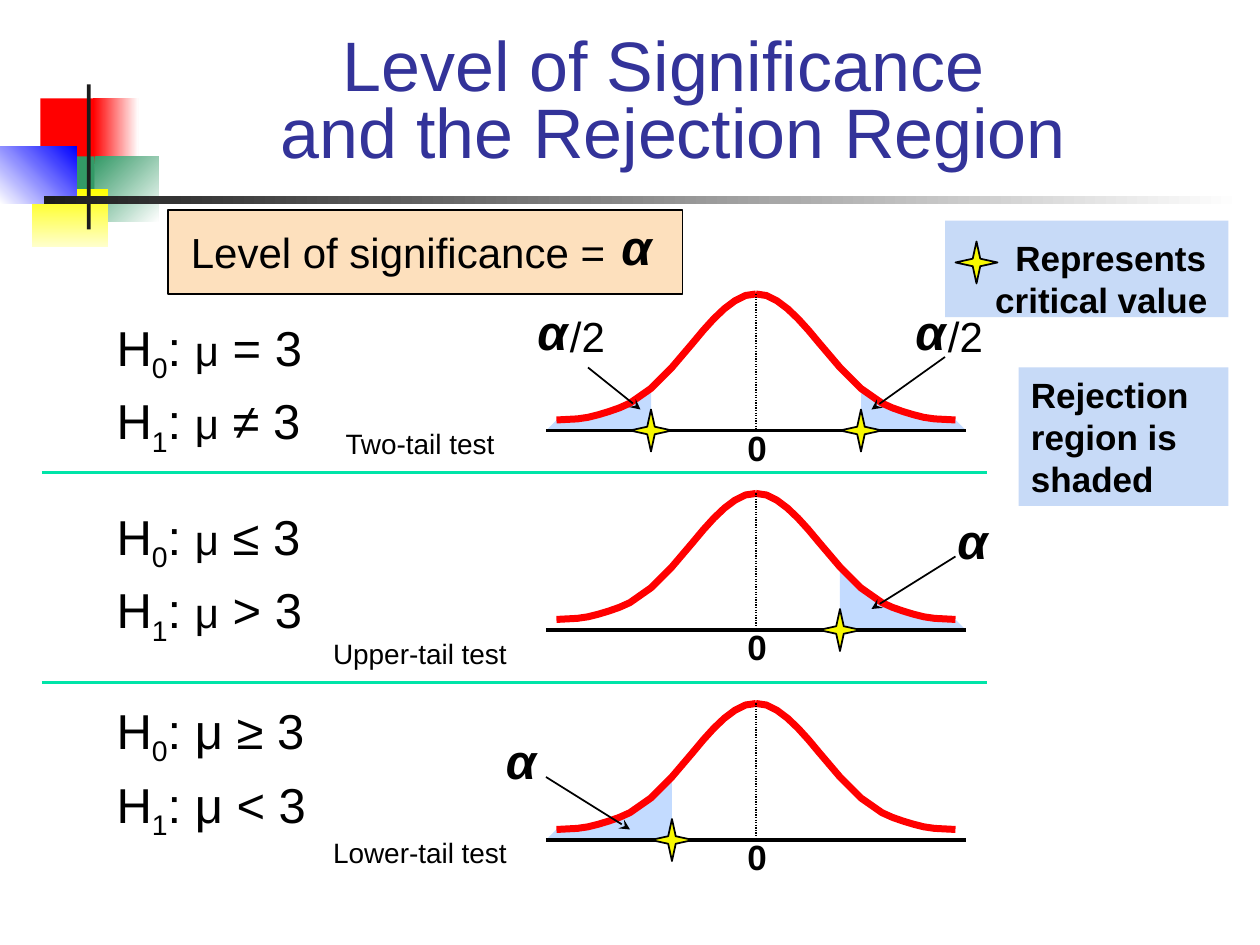
"""Slide on the level of significance, laid out on a grid of 120 columns by 90 rows."""
from dataclasses import dataclass
from math import cos, pi, sin

from lxml.etree import SubElement
from pptx import Presentation
from pptx.dml.color import RGBColor
from pptx.enum.dml import MSO_LINE
from pptx.enum.shapes import MSO_CONNECTOR, MSO_SHAPE
from pptx.enum.text import MSO_ANCHOR, PP_ALIGN
from pptx.oxml.ns import qn
from pptx.util import Inches, Pt

CELL = 1 / 12
CENTRE = 72
REACH = 20
PEAK = 13
CURVE = [(19, 1), (17, 1.1), (16, 1.25), (15, 1.5), (14, 1.8), (13, 2.15), (12, 2.6), (10, 4),
         (8, 6), (6, 8.35), (5, 9.55), (4, 10.65), (3, 11.6), (2, 12.35), (1, 12.85), (0, PEAK)]
TAIL = [(REACH, 0), (19, 1), (14.9, 1.6), (12.9, 2.35), (10.5, 3.8)]
BLACK, WHITE, DARK = "000000", "FFFFFF", "1C1C1C"
PANEL, SHADE, YELLOW, RED, GREEN = "C7DAF7", "C3DBFF", "F8F800", "FF0000", "00E4A8"


@dataclass
class Block:
    """A decorative rectangle with one fill colour or a two-colour gradient."""
    column: float
    row: float
    columns: float
    rows: float
    start: str
    end: str = ""
    angle: int = 0


@dataclass
class Alpha:
    """A tail area label with the arrow from it to the tail."""
    column: float
    row: float
    arrow: tuple
    halved: bool = False


@dataclass
class Test:
    """One hypothesis test with its critical values, counted in columns from the mean."""
    name: str
    name_row: float
    axis: float
    signs: tuple
    hypothesis_row: float
    mu_size: int
    critical: tuple
    alphas: list


BLOCKS = [
    Block(3.84, 9.36, 5.76, 6.24, "FF0000"),
    Block(8.88, 9.36, 4.32, 6.24, "FF0000", WHITE),
    Block(9, 14.88, 6.12, 6.24, "339966", WHITE, 45),
    Block(5.16, 14.88, 3.84, 6.24, "339966"),
    Block(3, 18, 7.32, 5.52, "FFFF00", "FFFFCC", 90),
    Block(0, 13.92, 7.32, 5.52, WHITE, "0000FF", 315),
    Block(8.28, 8.04, 0.36, 13.8, DARK),
    Block(4.2, 18.72, 114.12, 0.72, DARK, WHITE),
]

TESTS = [
    Test("Two-tail test", 40, 41, ("=", "≠"), 29, 24, (-10, 10),
         [Alpha(50, 28.1, (56, 35, 61, 39), True), Alpha(86, 28.1, (90, 34, 83, 39), True)]),
    Test("Upper-tail test", 60, 60, ("≤", ">"), 47, 24, (8,),
         [Alpha(90, 48, (91, 53, 83, 58))]),
    Test("Lower-tail test", 79, 80, ("≥", "<"), 65.5, 28, (-8,),
         [Alpha(47, 69, (52, 74, 60, 79))]),
]


def grid(cells: float) -> int:
    """Turn grid cells into a length."""
    return int(Inches(cells * CELL))


def colour(code: str) -> RGBColor:
    """Turn a hex string into a colour."""
    return RGBColor.from_string(code)


def paint(shape, fill: str = "", line: str = "", width: float = 1) -> None:
    """Set fill and outline, leaving out whichever has no colour."""
    shape.shadow.inherit = False
    if fill:
        shape.fill.solid()
        shape.fill.fore_color.rgb = colour(fill)
    else:
        shape.fill.background()
    if line:
        shape.line.color.rgb = colour(line)
        shape.line.width = Pt(width)
    else:
        shape.line.fill.background()


def add_rectangle(page, column: float, row: float, columns: float, rows: float, fill: str, line: str = ""):
    """Draw a filled rectangle."""
    box = page.shapes.add_shape(MSO_SHAPE.RECTANGLE, *map(grid, (column, row, columns, rows)))
    paint(box, fill, line, 0.75)
    return box


def add_block(page, block: Block) -> None:
    """Draw a decorative rectangle."""
    box = add_rectangle(page, block.column, block.row, block.columns, block.rows, block.start)
    if block.end:
        box.fill.gradient()
        box.fill.gradient_angle = -block.angle % 360
        for stop, code in zip(box.fill.gradient_stops, (block.start, block.end)):
            stop.color.rgb = colour(code)


def add_outline(page, points: list, fill: str = "", line: str = "", width: float = 1) -> None:
    """Draw a freeform, closed when it is filled."""
    corners = [(grid(column), grid(row)) for column, row in points]
    builder = page.shapes.build_freeform(*corners[0], scale=1.0)
    builder.add_line_segments(corners[1:], close=bool(fill))
    paint(builder.convert_to_shape(), fill, line, width)


def add_line(page, ends: tuple, code: str, width: float, arrow: bool = False, dotted: bool = False) -> None:
    """Draw a straight line between two grid points."""
    line = page.shapes.add_connector(MSO_CONNECTOR.STRAIGHT, *map(grid, ends))
    line.line.color.rgb = colour(code)
    line.line.width = Pt(width)
    if dotted:
        line.line.dash_style = MSO_LINE.ROUND_DOT
    if arrow:
        SubElement(line.line._get_or_add_ln(), qn("a:tailEnd"), type="stealth")
    SubElement(line._element.spPr, qn("a:effectLst"))


def style(span, size: float, code: str = BLACK, bold: bool = False, italic: bool = False) -> None:
    """Format one run."""
    span.font.name = "Arial"
    span.font.size = Pt(size)
    span.font.color.rgb = colour(code)
    span.font.bold = bold
    span.font.italic = italic


def write(box, text: str, size: float, align=PP_ALIGN.LEFT, anchor=MSO_ANCHOR.TOP, **look) -> None:
    """Fill a shape with evenly formatted text."""
    frame = box.text_frame
    frame.text = text
    frame.word_wrap = True
    frame.vertical_anchor = anchor
    for para in frame.paragraphs:
        para.alignment = align
        for span in para.runs:
            style(span, size, **look)


def add_text(page, column: float, row: float, columns: float, rows: float, text: str, size: float, **look):
    """Place a text box on the grid."""
    box = page.shapes.add_textbox(*map(grid, (column, row, columns, rows)))
    write(box, text, size, **look)
    return box


def add_alpha(page, column: float, row: float) -> None:
    """Place the symbol of the significance level."""
    add_text(page, column, row, 6, 6.7, "α", 28, bold=True, italic=True)


def add_star(page, column: float, row: float) -> None:
    """Mark a critical value with a four-pointed star."""
    radii = (2, 0.51)
    points = [(column + radii[i % 2] * cos(i * pi / 4), row + radii[i % 2] * sin(i * pi / 4)) for i in range(8)]
    add_outline(page, points, YELLOW, BLACK)


def add_hypotheses(page, test: Test) -> None:
    """Write the null and the alternative hypothesis."""
    box = add_text(page, 9.92, test.hypothesis_row, 28, 15.1, "H\nH", 28)
    for index, (para, sign) in enumerate(zip(box.text_frame.paragraphs, test.signs)):
        para.line_spacing = 1.1
        for text, size in ((str(index), 28), (": ", 28), ("μ", test.mu_size), (f" {sign} 3", 28)):
            span = para.add_run()
            span.text = text
            style(span, size)
        para.runs[1].font._element.set("baseline", "-25000")


def add_test(page, test: Test) -> None:
    """Draw one test: hypotheses, name, curve, shaded tails and labels."""
    add_hypotheses(page, test)
    add_text(page, 30, test.name_row, 20, 4.3, test.name, 16, align=PP_ALIGN.CENTER)
    for value in test.critical:
        side, cut = (1 if value > 0 else -1), abs(value)
        tail = [point for point in TAIL if point[0] > cut] + [(cut, dict(CURVE)[cut]), (cut, 0)]
        add_outline(page, [(CENTRE + side * x, test.axis - y) for x, y in tail], SHADE)
    for side in (-1, 1):
        add_outline(page, [(CENTRE + side * x, test.axis - y) for x, y in CURVE], line=RED, width=4)
    add_line(page, (CENTRE - REACH, test.axis, CENTRE + REACH, test.axis), BLACK, 2)
    add_line(page, (CENTRE, test.axis - PEAK, CENTRE, test.axis), BLACK, 0.75, dotted=True)
    add_text(page, CENTRE - 2, test.axis - 1, 4, 5.2, "0", 20, bold=True)
    for value in test.critical:
        add_star(page, CENTRE + value, test.axis)
    for alpha in test.alphas:
        add_alpha(page, alpha.column, alpha.row)
        if alpha.halved:
            add_text(page, alpha.column + 3.1, alpha.row + 0.9, 8, 6, "/2", 24)
        add_line(page, alpha.arrow, BLACK, 1, arrow=True)


def add_legend(page) -> None:
    """Explain the star and the shading."""
    box = add_rectangle(page, 90, 21, 27, 9.2, PANEL)
    write(box, "Represents\ncritical value", 20, bold=True)
    box.text_frame.margin_top = Inches(0.13)
    for para, indent in zip(box.text_frame.paragraphs, (0.46, 0.3)):
        para._p.get_or_add_pPr().set("indent", str(Inches(indent)))
    add_star(page, 93, 25)
    box = add_rectangle(page, 97, 35, 20, 13.2, PANEL)
    write(box, "Rejection region is shaded", 20, bold=True)


def main() -> None:
    """Build and save the slide."""
    deck = Presentation()
    deck.slide_width, deck.slide_height = grid(120), grid(90)
    page = deck.slides.add_slide(deck.slide_layouts[6])
    for block in BLOCKS:
        add_block(page, block)
    title = add_text(page, 13, 4, 102.2, 13, "Level of Significance \vand the Rejection Region", 40,
                     align=PP_ALIGN.CENTER, anchor=MSO_ANCHOR.BOTTOM, code="333399")
    title.text_frame.paragraphs[0].line_spacing = 0.8
    add_rectangle(page, 16, 20, 49, 8, "FDE0BD", BLACK)
    add_text(page, 17, 21, 43, 6, "Level of significance =", 24)
    add_alpha(page, 58, 20)
    add_legend(page)
    for test in TESTS:
        add_test(page, test)
    for row in (45, 65):
        add_line(page, (4, row, 94, row), GREEN, 2.25)
    deck.save("out.pptx")


if __name__ == "__main__":
    main()
